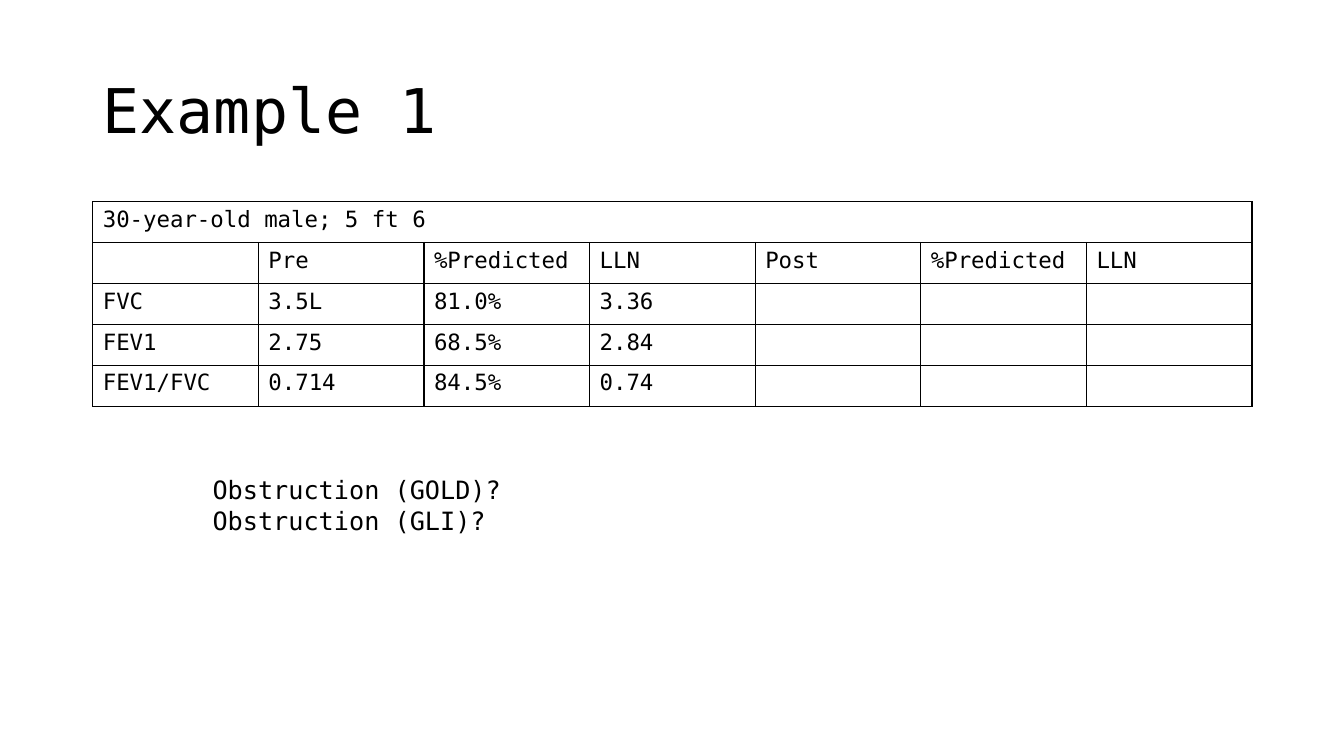
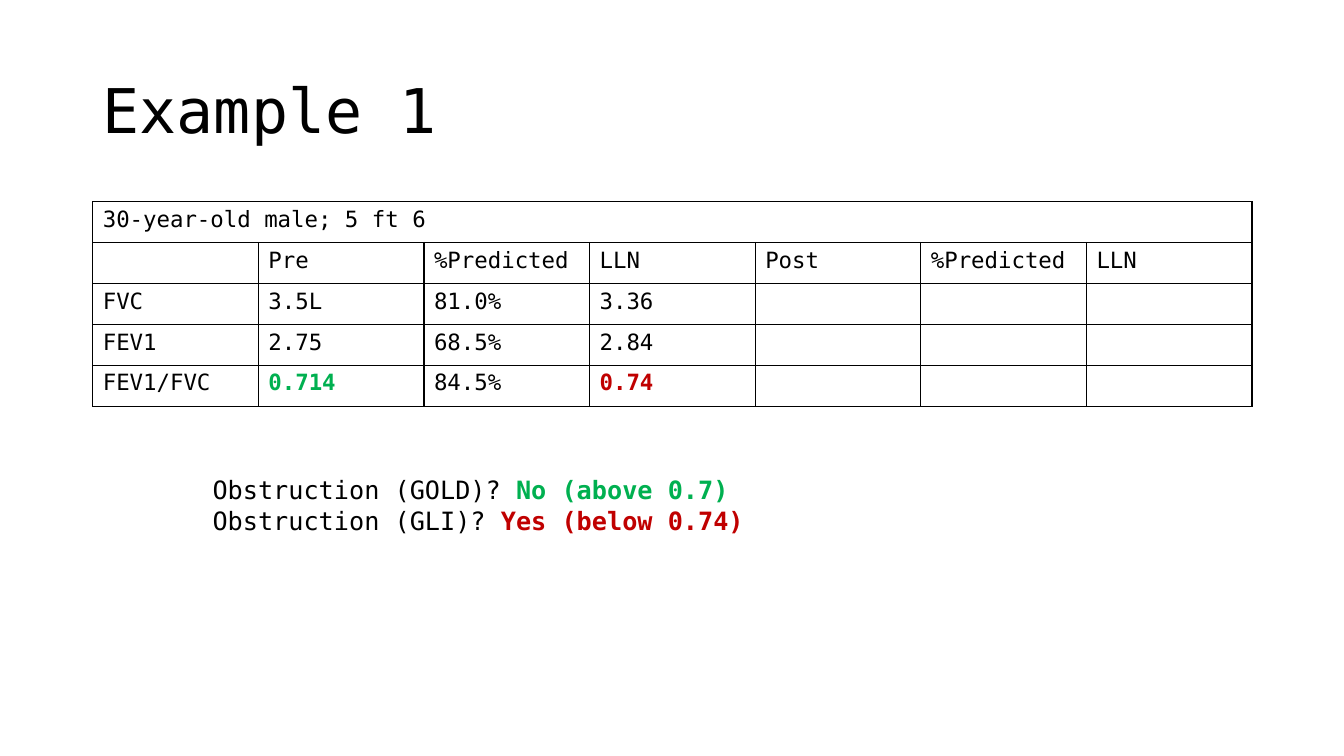
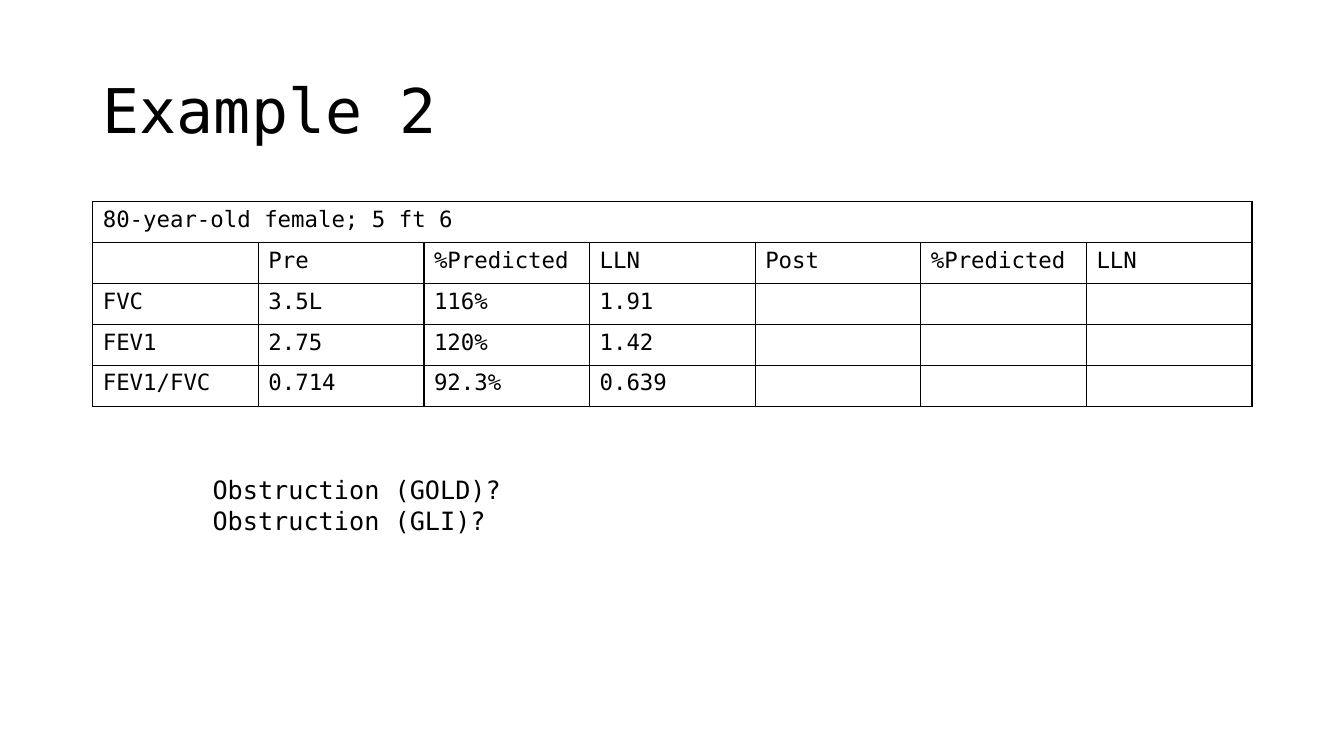
from dataclasses import dataclass

from lxml import etree
from pptx import Presentation
from pptx.dml.color import RGBColor
from pptx.enum import text
from pptx.oxml import ns
from pptx.util import Inches, Pt

BLACK = RGBColor(0x00, 0x00, 0x00)
GREEN = RGBColor(0x00, 0xB0, 0x50)
RED = RGBColor(0xC0, 0x00, 0x00)
FONT = "DejaVu Sans Mono"
LEFT, WIDTH = Inches(0.92), Inches(11.5)
ROW = Inches(0.406)
HEAD = ("", "Pre", "%Predicted", "LLN", "Post", "%Predicted", "LLN")
NAMES = ("FVC", "FEV1", "FEV1/FVC")
ASKS = ("Obstruction (GOLD)?", "Obstruction (GLI)?")


@dataclass(frozen=True)
class Mark:
    """Wording picked out in bold colour."""
    words: str
    color: RGBColor


Words = str | Mark


@dataclass(frozen=True)
class Case:
    title: str
    patient: str
    values: tuple[tuple[Words, ...], ...]
    answers: tuple[Mark, ...] = ()


MAN = "30-year-old male; 5 ft 6"
VOLUMES = (("3.5L", "81.0%", "3.36"), ("2.75", "68.5%", "2.84"))
CASES = (
    Case("Example 1", MAN, (*VOLUMES, ("0.714", "84.5%", "0.74"))),
    Case("Example 1", MAN,
         (*VOLUMES, (Mark("0.714", GREEN), "84.5%", Mark("0.74", RED))),
         (Mark("No (above 0.7)", GREEN), Mark("Yes (below 0.74)", RED))),
    Case("Example 2", "80-year-old female; 5 ft 6",
         (("3.5L", "116%", "1.91"), ("2.75", "120%", "1.42"),
          ("0.714", "92.3%", "0.639"))),
)


def write(para, size: int, *parts: Words) -> None:
    font = para.font
    font.name, font.size, font.bold = FONT, Pt(size), False
    font.color.rgb = BLACK
    for part in parts:
        run = para.add_run()
        if isinstance(part, Mark):
            run.text = part.words
            run.font.bold = True
            run.font.color.rgb = part.color
        else:
            run.text = part


def add_box(slide, left: int, top: int, width: int, height: int):
    frame = slide.shapes.add_textbox(left, top, width, height).text_frame
    frame.word_wrap = True
    return frame


def add_title(slide, title: str) -> None:
    frame = add_box(slide, LEFT, Inches(0.4), WIDTH, Inches(1.45))
    frame.vertical_anchor = text.MSO_ANCHOR.MIDDLE
    para = frame.paragraphs[0]
    para.line_spacing = 0.9
    write(para, 44, title)


def frame_cell(cell) -> None:
    """Give a cell thin black borders and no fill."""
    props = cell._tc.get_or_add_tcPr()
    for side in ("a:lnL", "a:lnR", "a:lnT", "a:lnB"):
        line = etree.SubElement(props, ns.qn(side), w=str(Pt(1)))
        fill = etree.SubElement(line, ns.qn("a:solidFill"))
        etree.SubElement(fill, ns.qn("a:srgbClr"), val=str(BLACK))
    cell.fill.background()


def add_grid(slide, case: Case) -> None:
    rows = [(case.patient,), HEAD]
    rows += [(name, *vals) for name, vals in zip(NAMES, case.values)]
    count = len(HEAD)
    table = slide.shapes.add_table(
        len(rows), count, LEFT, Inches(2), WIDTH, ROW * len(rows)).table
    table.first_row = table.horz_banding = False
    table.cell(0, 0).merge(table.cell(0, count - 1))
    for r, row in enumerate(rows):
        for c in range(count):
            cell = table.cell(r, c)
            frame_cell(cell)
            parts = [part for part in row[c:c + 1] if part]
            write(cell.text_frame.paragraphs[0], 16, *parts)


def add_asks(slide, answers: tuple[Mark, ...]) -> None:
    frame = add_box(slide, Inches(2.01), Inches(4.66),
                    Inches(6.46), Inches(0.71))
    frame.auto_size = text.MSO_AUTO_SIZE.SHAPE_TO_FIT_TEXT
    for i, ask in enumerate(ASKS):
        para = frame.add_paragraph() if i else frame.paragraphs[0]
        if answers:
            write(para, 18, ask + " ", answers[i])
        else:
            write(para, 18, ask)


def main() -> None:
    deck = Presentation()
    deck.slide_width, deck.slide_height = Inches(13.33), Inches(7.5)
    for case in CASES:
        slide = deck.slides.add_slide(deck.slide_layouts[6])
        add_title(slide, case.title)
        add_grid(slide, case)
        add_asks(slide, case.answers)
    deck.save("out.pptx")


if __name__ == "__main__":
    main()
